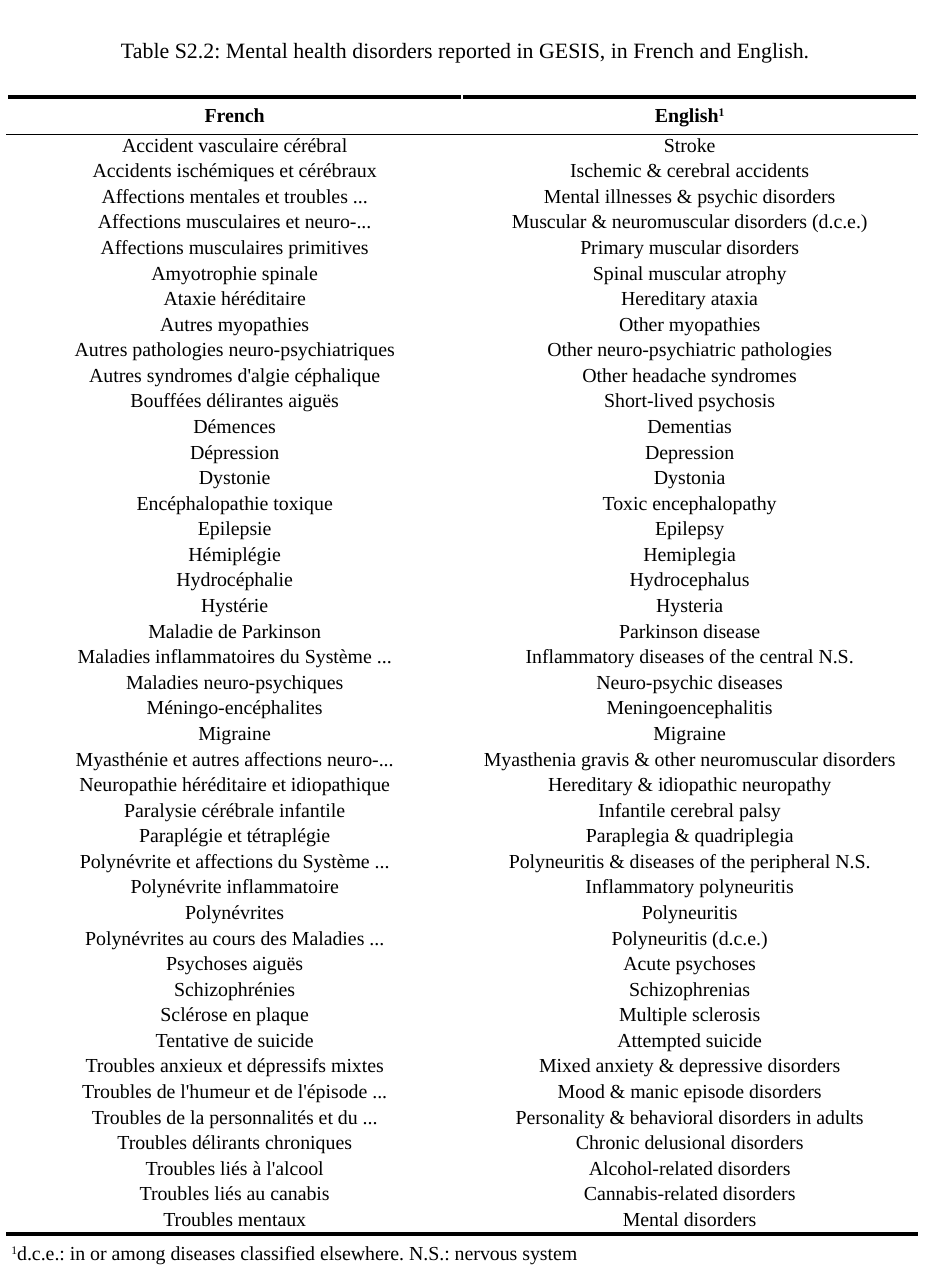
from lxml import etree
from pptx import Presentation
from pptx.dml.color import RGBColor
from pptx.enum.text import MSO_ANCHOR, MSO_AUTO_SIZE, PP_ALIGN
from pptx.oxml.ns import qn
from pptx.util import Inches, Pt

LEFT, CENTER = PP_ALIGN.LEFT, PP_ALIGN.CENTER
TOP, MIDDLE = MSO_ANCHOR.TOP, MSO_ANCHOR.MIDDLE
FIT_SHAPE = MSO_AUTO_SIZE.SHAPE_TO_FIT_TEXT

FONT = "Times New Roman"
COLORS = {"text": "000000", "rule": "000000", "plain": "FFFFFF"}

# Border styles: colour name and width in points
PLAIN, THIN, THICK = ("plain", 1), ("rule", 1), ("rule", 2.25)

TABLE_WIDTH, TABLE_HEIGHT = 6.36, 8.23
HEADER_HEIGHT, FOOTNOTE_HEIGHT = 0.26, 0.27

TITLE = "Table S2.2: Mental health disorders reported in GESIS, in French and English."
FOOTNOTE = "d.c.e.: in or among diseases classified elsewhere. N.S.: nervous system"
DISORDERS = [
    ("Accident vasculaire cérébral", "Stroke"),
    ("Accidents ischémiques et cérébraux", "Ischemic & cerebral accidents"),
    ("Affections mentales et troubles ...", "Mental illnesses & psychic disorders"),
    ("Affections musculaires et neuro-...", "Muscular & neuromuscular disorders (d.c.e.)"),
    ("Affections musculaires primitives", "Primary muscular disorders"),
    ("Amyotrophie spinale", "Spinal muscular atrophy"),
    ("Ataxie héréditaire", "Hereditary ataxia"),
    ("Autres myopathies", "Other myopathies"),
    ("Autres pathologies neuro-psychiatriques", "Other neuro-psychiatric pathologies"),
    ("Autres syndromes d'algie céphalique", "Other headache syndromes"),
    ("Bouffées délirantes aiguës", "Short-lived psychosis"),
    ("Démences", "Dementias"),
    ("Dépression", "Depression"),
    ("Dystonie", "Dystonia"),
    ("Encéphalopathie toxique", "Toxic encephalopathy"),
    ("Epilepsie", "Epilepsy"),
    ("Hémiplégie", "Hemiplegia"),
    ("Hydrocéphalie", "Hydrocephalus"),
    ("Hystérie", "Hysteria"),
    ("Maladie de Parkinson", "Parkinson disease"),
    ("Maladies inflammatoires du Système ...", "Inflammatory diseases of the central N.S."),
    ("Maladies neuro-psychiques", "Neuro-psychic diseases"),
    ("Méningo-encéphalites", "Meningoencephalitis"),
    ("Migraine", "Migraine"),
    ("Myasthénie et autres affections neuro-...",
     "Myasthenia gravis & other neuromuscular disorders"),
    ("Neuropathie héréditaire et idiopathique", "Hereditary & idiopathic neuropathy"),
    ("Paralysie cérébrale infantile", "Infantile cerebral palsy"),
    ("Paraplégie et tétraplégie", "Paraplegia & quadriplegia"),
    ("Polynévrite et affections du Système ...",
     "Polyneuritis & diseases of the peripheral N.S."),
    ("Polynévrite inflammatoire", "Inflammatory polyneuritis"),
    ("Polynévrites", "Polyneuritis"),
    ("Polynévrites au cours des Maladies ...", "Polyneuritis (d.c.e.)"),
    ("Psychoses aiguës", "Acute psychoses"),
    ("Schizophrénies", "Schizophrenias"),
    ("Sclérose en plaque", "Multiple sclerosis"),
    ("Tentative de suicide", "Attempted suicide"),
    ("Troubles anxieux et dépressifs mixtes", "Mixed anxiety & depressive disorders"),
    ("Troubles de l'humeur et de l'épisode ...", "Mood & manic episode disorders"),
    ("Troubles de la personnalités et du ...",
     "Personality & behavioral disorders in adults"),
    ("Troubles délirants chroniques", "Chronic delusional disorders"),
    ("Troubles liés à l'alcool", "Alcohol-related disorders"),
    ("Troubles liés au canabis", "Cannabis-related disorders"),
    ("Troubles mentaux", "Mental disorders"),
]


def add_run(paragraph, text, size=10, bold=False, superscript=False):
    run = paragraph.add_run()
    run.text = text
    run.font.name = FONT
    run.font.size = Pt(size)
    run.font.bold = bold
    run.font.color.rgb = RGBColor.from_string(COLORS["text"])
    if superscript:
        run.font._rPr.set("baseline", "30000")


def set_borders(cell, top, bottom):
    properties = cell._tc.get_or_add_tcPr()
    for side, (color, width) in zip("LRTB", (PLAIN, PLAIN, top, bottom)):
        line = etree.SubElement(properties, qn(f"a:ln{side}"), w=str(Pt(width)))
        fill = etree.SubElement(line, qn("a:solidFill"))
        etree.SubElement(fill, qn("a:srgbClr"), val=COLORS[color])


def style_cell(cell, anchor, top, bottom):
    cell.margin_left = cell.margin_right = Inches(0.03)
    cell.margin_top = cell.margin_bottom = 0
    cell.vertical_anchor = anchor
    set_borders(cell, top, bottom)
    cell.fill.background()


def write_cell(cell, text, align=CENTER, bold=False, mark_before="", mark_after=""):
    paragraph = cell.text_frame.paragraphs[0]
    paragraph.alignment = align
    paragraph.space_after = Pt(3)
    for part, is_mark in ((mark_before, True), (text, False), (mark_after, True)):
        if part:
            add_run(paragraph, part, bold=bold, superscript=is_mark)


def add_title(slide):
    box = slide.shapes.add_textbox(Inches(0.33), Inches(0.21), Inches(5.85), Inches(0.29))
    frame = box.text_frame
    frame.word_wrap = True
    frame.auto_size = FIT_SHAPE
    frame.paragraphs[0].alignment = CENTER
    add_run(frame.paragraphs[0], TITLE, size=11)


def add_disorder_table(slide):
    count = len(DISORDERS)
    table = slide.shapes.add_table(
        count + 2, 2, Inches(0.05), Inches(0.68),
        Inches(TABLE_WIDTH), Inches(TABLE_HEIGHT)).table
    table.first_row = table.horz_banding = False

    # Row heights: the disorders share what header and footnote leave
    row_height = (TABLE_HEIGHT - HEADER_HEIGHT - FOOTNOTE_HEIGHT) / count
    heights = [HEADER_HEIGHT] + [row_height] * count + [FOOTNOTE_HEIGHT]
    # Horizontal rules, from the top edge to the bottom edge
    rules = [THICK, THIN] + [PLAIN] * (count - 1) + [THICK, PLAIN]
    for index, (row, height) in enumerate(zip(table.rows, heights)):
        row.height = Inches(height)
        anchor = TOP if 1 <= index <= count else MIDDLE
        for cell in row.cells:
            style_cell(cell, anchor, rules[index], rules[index + 1])

    # Header
    write_cell(table.cell(0, 0), "French", bold=True)
    write_cell(table.cell(0, 1), "English", bold=True, mark_after="1")

    # Disorders
    for index, names in enumerate(DISORDERS, start=1):
        for column, name in enumerate(names):
            write_cell(table.cell(index, column), name)

    # Footnote
    footnote = table.cell(count + 1, 0)
    footnote.merge(table.cell(count + 1, 1))
    write_cell(footnote, FOOTNOTE, align=LEFT, mark_before="1")


def main():
    presentation = Presentation()
    presentation.slide_width = Inches(6.5)
    presentation.slide_height = Inches(9)
    slide = presentation.slides.add_slide(presentation.slide_layouts[6])
    add_title(slide)
    add_disorder_table(slide)
    presentation.save("out.pptx")


if __name__ == "__main__":
    main()
